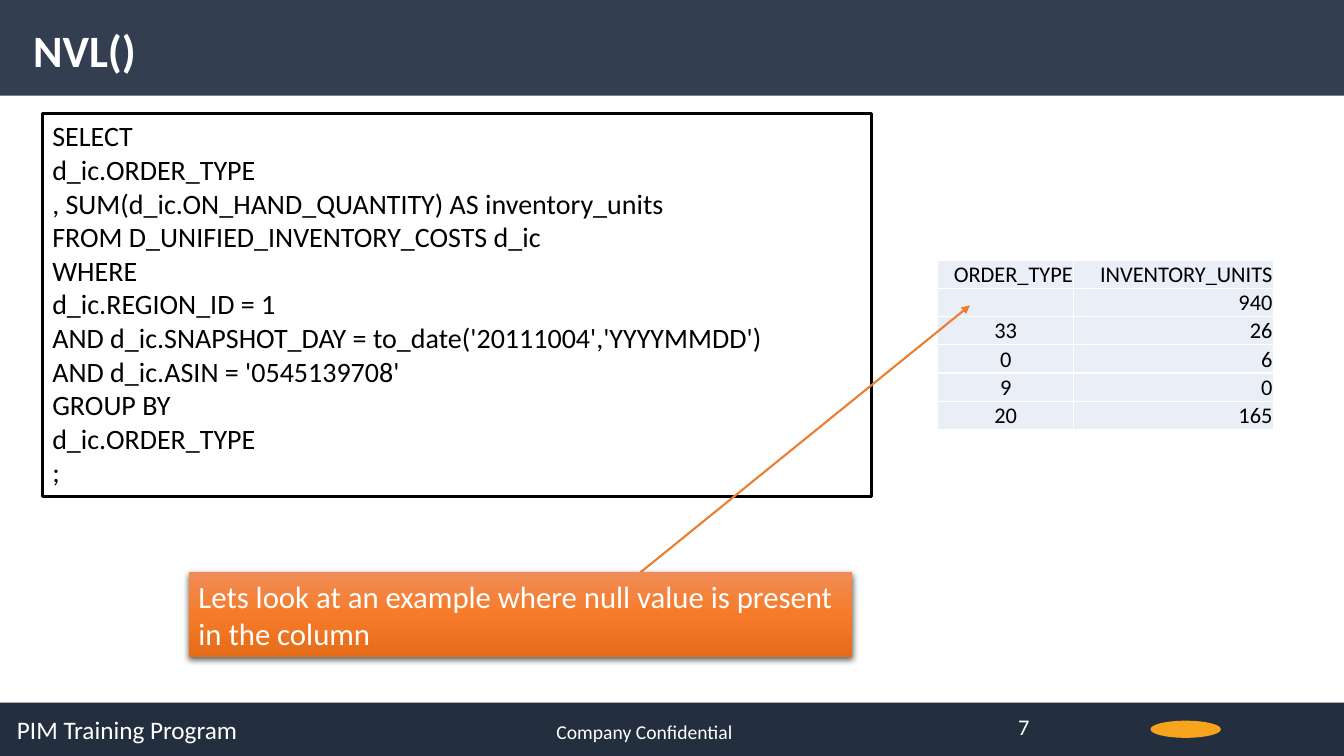
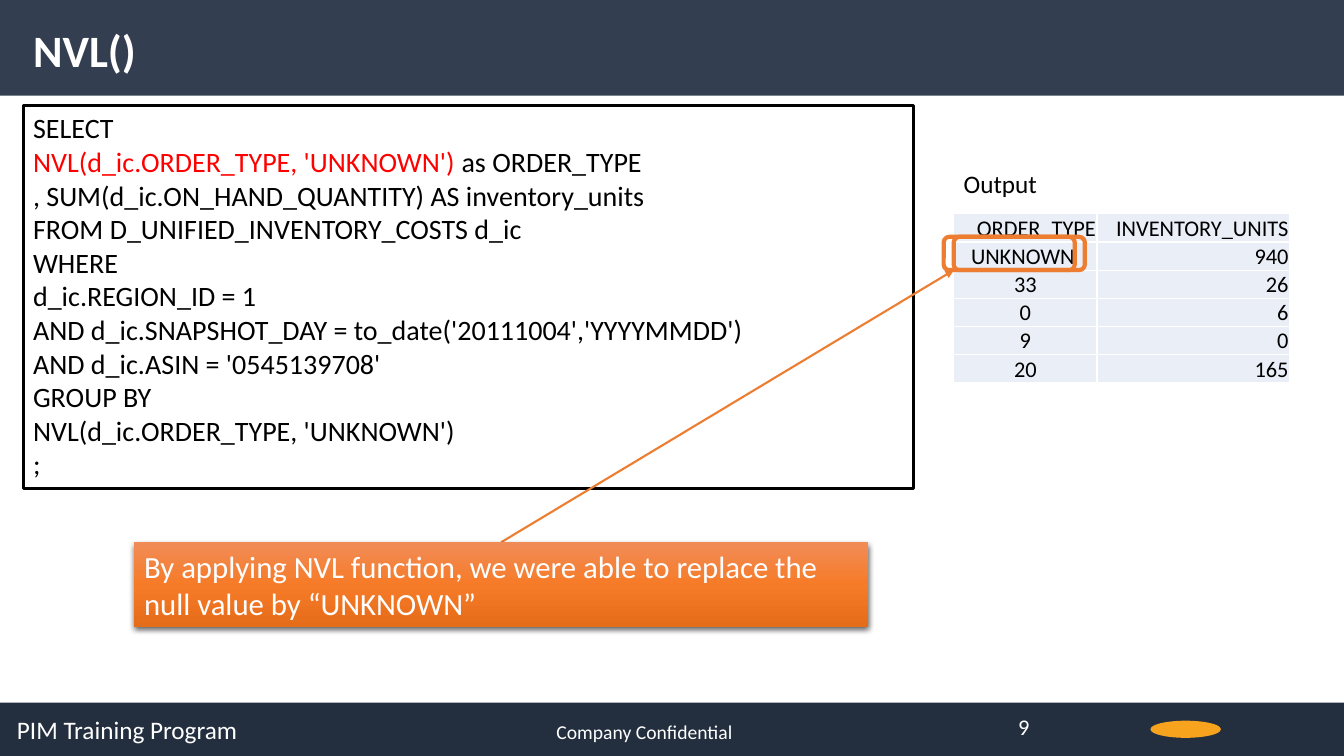
from pptx import Presentation
from pptx.dml.color import RGBColor
from pptx.enum.shapes import MSO_CONNECTOR, MSO_SHAPE
from pptx.enum.text import MSO_ANCHOR, PP_ALIGN
from pptx.oxml import parse_xml
from pptx.oxml.ns import nsdecls, qn
from pptx.oxml.xmlchemy import OxmlElement
from pptx.util import Inches, Pt

# Shared look
WIDTH, HEIGHT = 13.33, 7.5
FONT = "Calibri"
BLACK, WHITE, RED = "000000", "FFFFFF", "FF0000"
HEADER_FILL, FOOTER_FILL, CELL_FILL = "333F50", "232F3E", "EAEFF7"
ORANGE, MARK_FILL = "ED7D31", "F7A31E"
CALLOUT_STOPS = [(0, "F18C57"), (50, "F67B28"), (100, "E56C19")]
HEADER_HEIGHT, FOOTER_TOP = 0.95, 6.97
CODE_HEIGHT, CALLOUT_HEIGHT, ROW_HEIGHT = 3.8, 0.84, 0.28
FOOTER_TAB = 5.35

# Content
TITLE = "NVL()"
PROGRAM, NOTICE = "PIM Training Program", "Company Confidential"
QUERY_MIDDLE = [
    ", SUM(d_ic.ON_HAND_QUANTITY) AS inventory_units",
    "FROM D_UNIFIED_INVENTORY_COSTS d_ic",
    "WHERE",
    "d_ic.REGION_ID = 1",
    "AND d_ic.SNAPSHOT_DAY = to_date('20111004','YYYYMMDD')",
    "AND d_ic.ASIN = '0545139708'",
    "GROUP BY",
]
TABLE_HEAD = ("ORDER_TYPE", "INVENTORY_UNITS")
NULL_UNITS = "940"
OTHER_ROWS = [("33", "26"), ("0", "6"), ("9", "0"), ("20", "165")]

SLIDES = [
    {
        "number": "7",
        "selected": [("d_ic.ORDER_TYPE", BLACK)],
        "grouped": "d_ic.ORDER_TYPE",
        "code_at": (0.42, 1.13, 8.22),
        "null_label": "",
        "table_at": (9.3, 2.58),
        "columns": (1.35, 1.98),
        "callout": "Lets look at an example where null value is present in the column",
        "callout_at": (1.87, 5.68, 6.58),
        "arrow": (6.35, 5.68, 9.62, 3.03),
        "output_label": None,
        "highlights": [],
    },
    {
        "number": "9",
        "selected": [("NVL(d_ic.ORDER_TYPE, 'UNKNOWN') ", RED), ("as ORDER_TYPE", BLACK)],
        "grouped": "NVL(d_ic.ORDER_TYPE, 'UNKNOWN')",
        "code_at": (0.23, 1.05, 8.83),
        "null_label": "UNKNOWN\u00a0",
        "table_at": (9.46, 2.12),
        "columns": (1.42, 1.91),
        "callout": "By applying NVL function, we were able to replace the "
                   "null value by “UNKNOWN”",
        "callout_at": (1.33, 5.38, 7.28),
        "arrow": (4.97, 5.38, 9.46, 2.68),
        "output_label": ("Output", 9.46, 1.62, 0.94, 0.4),
        "highlights": [(9.46, 2.35, 1.3, 0.33), (9.36, 2.35, 1.3, 0.33)],
    },
]


def color(value):
    return RGBColor.from_string(value)


def write(paragraph, spans, size, bold=False):
    """Add (text, colour) spans to a paragraph."""
    for text, shade in spans:
        span = paragraph.add_run()
        span.text = text
        span.font.name, span.font.size, span.font.bold = FONT, Pt(size), bold
        span.font.color.rgb = color(shade)


def add_box(page, kind, at, fill=None, line=None, weight=0):
    box = page.shapes.add_shape(kind, *map(Inches, at))
    box.shadow.inherit = False
    if fill:
        box.fill.solid()
        box.fill.fore_color.rgb = color(fill)
    else:
        box.fill.background()
    if line:
        box.line.color.rgb = color(line)
        box.line.width = Pt(weight)
    else:
        box.line.fill.background()
    return box


def add_label(page, text, at, size, shade, bold=False, wrap=True):
    box = page.shapes.add_textbox(*map(Inches, at))
    box.text_frame.word_wrap = wrap
    write(box.text_frame.paragraphs[0], [(text, shade)], size, bold)
    return box


def add_frame(page, number):
    """Title band, footer band and their texts."""
    add_box(page, MSO_SHAPE.RECTANGLE, (0, FOOTER_TOP, WIDTH, HEIGHT - FOOTER_TOP), FOOTER_FILL)
    add_box(page, MSO_SHAPE.OVAL, (11.41, 7.15, 0.7, 0.17), MARK_FILL)
    footer = add_label(page, PROGRAM, (0.07, 7.04, 9.5, 0.4), 18, WHITE)
    paragraph = footer.text_frame.paragraphs[0]
    write(paragraph, [("\t" + NOTICE, WHITE)], 14)
    paragraph.alignment = PP_ALIGN.LEFT
    paragraph._p.pPr.append(parse_xml(
        f'<a:tabLst {nsdecls("a")}><a:tab pos="{Inches(FOOTER_TAB)}" algn="l"/></a:tabLst>'))
    add_label(page, number, (10, 7.03, 1, 0.4), 16, WHITE)
    add_box(page, MSO_SHAPE.RECTANGLE, (0, 0, WIDTH, HEADER_HEIGHT), HEADER_FILL)
    add_label(page, TITLE, (0.23, 0.18, 6.7, 0.64), 32, WHITE, bold=True)


def add_code(page, lines, at):
    box = add_box(page, MSO_SHAPE.RECTANGLE, (*at, CODE_HEIGHT), WHITE, BLACK, 2.25)
    frame = box.text_frame
    frame.word_wrap = True
    frame.vertical_anchor = MSO_ANCHOR.TOP
    for index, spans in enumerate(lines):
        paragraph = frame.paragraphs[0] if index == 0 else frame.add_paragraph()
        paragraph.alignment = PP_ALIGN.LEFT
        write(paragraph, spans, 20)


def style_cell(cell, text, alignment):
    cell.fill.solid()
    cell.fill.fore_color.rgb = color(CELL_FILL)
    cell.margin_left = cell.margin_right = cell.margin_top = Inches(0.01)
    cell.margin_bottom = 0
    cell.vertical_anchor = MSO_ANCHOR.BOTTOM
    paragraph = cell.text_frame.paragraphs[0]
    paragraph.alignment = alignment
    if text:
        write(paragraph, [(text, BLACK)], 16)
    else:
        ending = OxmlElement("a:endParaRPr")
        ending.set("sz", "1600")
        paragraph._p.append(ending)
    # Borders come before the fill in the cell properties
    properties = cell._tc.tcPr
    for position, side in enumerate(("lnL", "lnR", "lnT", "lnB")):
        properties.insert(position, parse_xml(
            f'<a:{side} {nsdecls("a")} w="{Pt(1)}"><a:solidFill>'
            f'<a:srgbClr val="{WHITE}"/></a:solidFill></a:{side}>'))


def add_result(page, rows, at, columns):
    size = (sum(columns), ROW_HEIGHT * len(rows))
    table = page.shapes.add_table(len(rows), len(columns), *map(Inches, at + size)).table
    table.first_row = table.horz_banding = False
    for column, width in zip(table.columns, columns):
        column.width = Inches(width)
    for row_index, row in enumerate(rows):
        table.rows[row_index].height = Inches(ROW_HEIGHT)
        for column_index, text in enumerate(row):
            centred = row_index > 0 and column_index == 0
            style_cell(table.cell(row_index, column_index), text,
                       PP_ALIGN.CENTER if centred else PP_ALIGN.RIGHT)


def add_callout(page, text, at):
    box = add_box(page, MSO_SHAPE.RECTANGLE, (*at, CALLOUT_HEIGHT))
    box.fill.gradient()
    box.fill.gradient_angle = 270
    properties = box._element.spPr
    stops = properties.find(".//" + qn("a:gsLst"))
    for stop in list(stops):
        stops.remove(stop)
    for share, shade in CALLOUT_STOPS:
        stops.append(parse_xml(f'<a:gs {nsdecls("a")} pos="{share * 1000}">'
                               f'<a:srgbClr val="{shade}"/></a:gs>'))
    properties.find(qn("a:effectLst")).append(parse_xml(
        f'<a:outerShdw {nsdecls("a")} blurRad="{Pt(4.5)}" dist="{Pt(1.5)}" dir="5400000" '
        f'algn="ctr" rotWithShape="0"><a:srgbClr val="{BLACK}">'
        f'<a:alpha val="63000"/></a:srgbClr></a:outerShdw>'))
    box.text_frame.word_wrap = True
    paragraph = box.text_frame.paragraphs[0]
    paragraph.alignment = PP_ALIGN.LEFT
    write(paragraph, [(text, WHITE)], 22)


def add_arrow(page, ends):
    arrow = page.shapes.add_connector(MSO_CONNECTOR.STRAIGHT, *map(Inches, ends))
    arrow.line.color.rgb = color(ORANGE)
    arrow.line.width = Pt(1.5)
    head = OxmlElement("a:tailEnd")
    head.set("type", "triangle")
    arrow.line._get_or_add_ln().append(head)
    arrow._element.spPr.append(OxmlElement("a:effectLst"))


# Build the deck
deck = Presentation()
deck.slide_width, deck.slide_height = Inches(WIDTH), Inches(HEIGHT)
for content in SLIDES:
    page = deck.slides.add_slide(deck.slide_layouts[6])
    add_frame(page, content["number"])
    ending_lines = QUERY_MIDDLE + [content["grouped"], ";"]
    lines = [[("SELECT", BLACK)], content["selected"]]
    lines += [[(line, BLACK)] for line in ending_lines]
    add_code(page, lines, content["code_at"])
    rows = [TABLE_HEAD, (content["null_label"], NULL_UNITS)] + OTHER_ROWS
    add_result(page, rows, content["table_at"], content["columns"])
    add_arrow(page, content["arrow"])
    add_callout(page, content["callout"], content["callout_at"])
    if content["output_label"]:
        label, *place = content["output_label"]
        add_label(page, label, place, 18, BLACK, wrap=False)
    for place in content["highlights"]:
        add_box(page, MSO_SHAPE.ROUNDED_RECTANGLE, place, line=ORANGE, weight=3)
deck.save("out.pptx")
